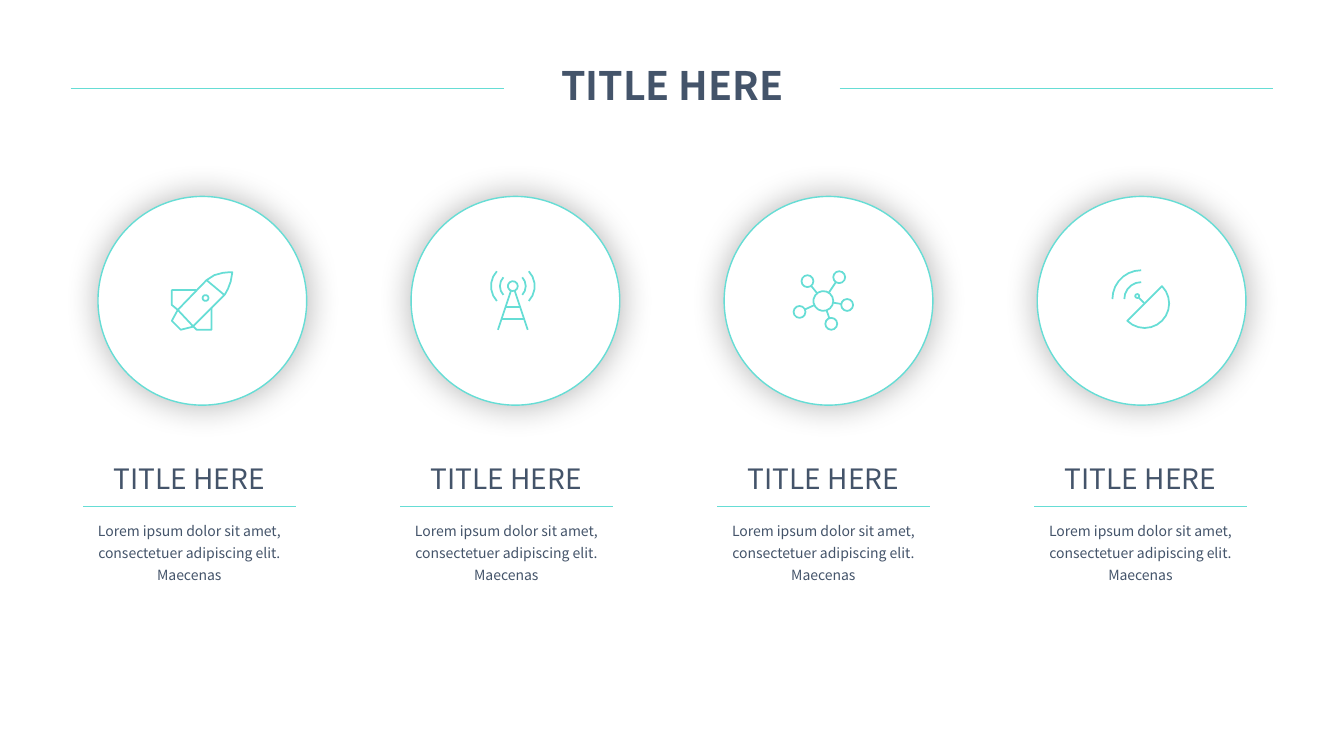
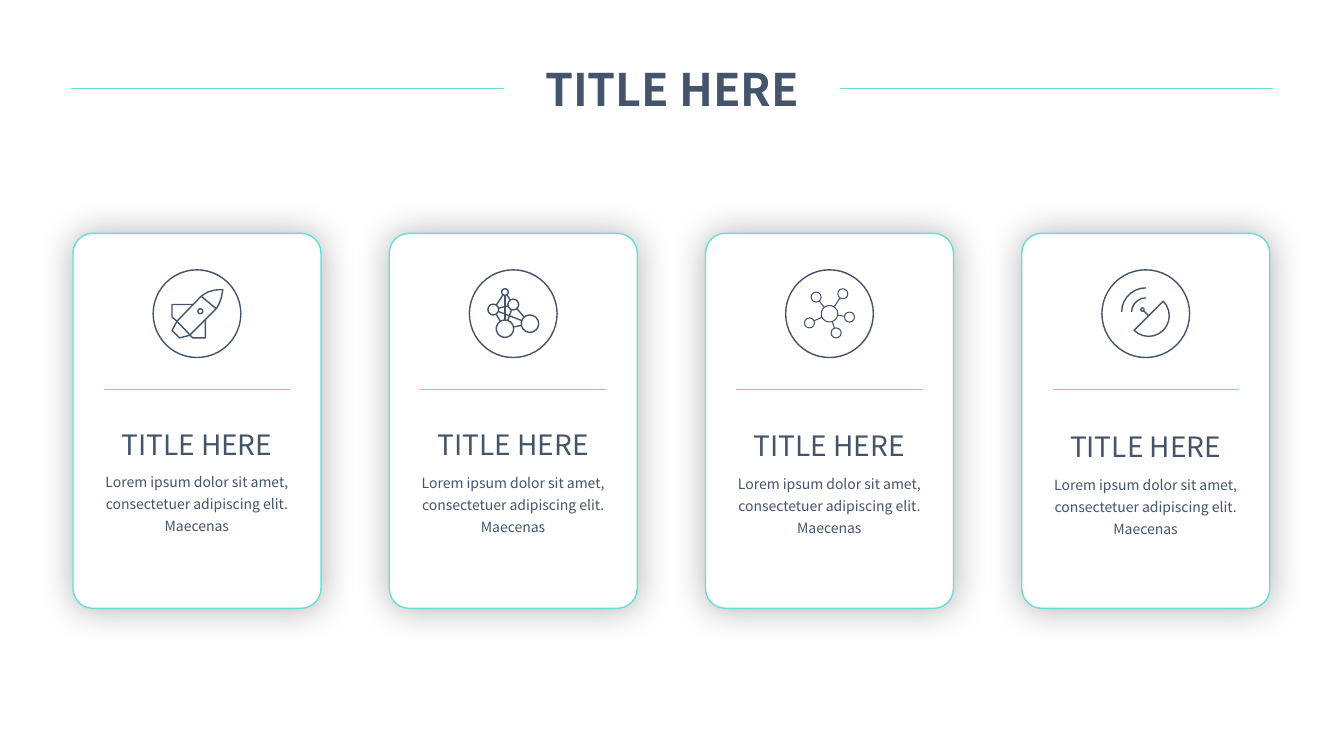
from dataclasses import dataclass
from math import cos, hypot, radians, sin

from lxml import etree
from pptx import Presentation
from pptx.dml.color import RGBColor
from pptx.enum.shapes import MSO_CONNECTOR, MSO_SHAPE
from pptx.enum.text import PP_ALIGN
from pptx.oxml.ns import qn
from pptx.util import Cm, Pt

STRAIGHT = MSO_CONNECTOR.STRAIGHT
OVAL = MSO_SHAPE.OVAL
ROUNDED = MSO_SHAPE.ROUNDED_RECTANGLE
CENTER = PP_ALIGN.CENTER


@dataclass(frozen=True)
class Theme:
    font: str = "Noto Sans CJK SC"
    ink: str = "44546A"
    accent: str = "66DDD5"
    paper: str = "FFFFFF"
    shadow: str = "000000"
    shadow_alpha: str = "30000"
    shadow_blur: int = 25
    heading_size: int = 20
    body_size: int = 10
    body_spacing: float = 1.3
    rule_weight: float = 0.5


THEME = Theme()
TITLE = "TITLE HERE"
BODY = "Lorem ipsum dolor sit amet, consectetuer adipiscing elit. Maecenas"
ICON_RISE = 0.02


# Icon strokes: lists of points around the icon centre, about 60 units across.

def arc(x, y, radius, start=0, end=360):
    """Points along an arc, in degrees clockwise from the right."""
    steps = max(4, round((end - start) / 360 * (8 + radius / 1.5)))
    angles = [radians(start + (end - start) * i / steps) for i in range(steps + 1)]
    return [(x + radius * cos(a), y + radius * sin(a)) for a in angles]


def curve(p0, p1, p2, p3, steps=4):
    """Points along a cubic Bezier curve."""
    points = []
    for i in range(steps + 1):
        t = i / steps
        weights = ((1 - t) ** 3, 3 * t * (1 - t) ** 2, 3 * t * t * (1 - t), t ** 3)
        points.append(tuple(sum(w * p[axis] for w, p in zip(weights, (p0, p1, p2, p3)))
                            for axis in (0, 1)))
    return points


def link(node_a, node_b):
    """Line between the rims of two (x, y, radius) nodes."""
    (ax, ay, ar), (bx, by, br) = node_a, node_b
    length = hypot(bx - ax, by - ay)
    ux, uy = (bx - ax) / length, (by - ay) / length
    return [(ax + ux * ar, ay + uy * ar), (bx - ux * br, by - uy * br)]


def graph(nodes, links):
    return [arc(*node) for node in nodes] + [link(nodes[a], nodes[b]) for a, b in links]


def rocket():
    nose, shoulder_left, shoulder_right = (31, -28), (5, -20), (23, -5)
    hull = curve(nose, (30, -14), shoulder_right, shoulder_right)
    hull += [(-9, 27), (-21, 30), (-30, 21), (-24, 10)]
    hull += curve(shoulder_left, (14, -29), nose, nose)
    fins = [(-5, -10), (-30, -10), (-30, 5), (-24, 10), (-9, 26), (-5, 30), (10, 30), (10, 8)]
    return [hull, [shoulder_left, shoulder_right], fins, arc(4, -2, 3)]


def antenna():
    mast = [[(-16, 30), (-3, -9)], [(14, 30), (1, -9)],
            [(-8, 7), (6, 7)], [(-12, 19), (10, 19)]]
    waves = [arc(-1, -14, radius, facing - 43, facing + 43)
             for radius in (13, 22) for facing in (0, 180)]
    return [arc(-1, -14, 5)] + mast + waves


def hub():
    nodes = [(0, 1, 10), (16, -23, 6), (-16, -19, 6), (-24, 12, 6), (8, 24, 6), (24, 5, 6)]
    return graph(nodes, [(0, i) for i in range(1, len(nodes))])


def mesh():
    nodes = [(-10, -25, 4), (-24, -4, 6.5), (-10, 19, 10.5), (0, -10, 6.5), (20, 13, 10.5)]
    return graph(nodes, [(0, 1), (0, 2), (0, 3), (1, 2), (1, 3), (1, 4), (2, 3), (2, 4), (3, 4)])


def dish():
    bowl = arc(3.5, 3.5, 24.7, -45, 135)
    waves = [arc(0, -1, radius, 180, 270) for radius in (17, 29)]
    return [bowl + bowl[:1], [(3, 3), (-3, -3)], arc(-4, -4, 2)] + waves


def style_line(line, color, width):
    line.color.rgb = RGBColor.from_string(color)
    line.width = Pt(width)


def add_icon(slide, strokes, x, y, unit, color, width):
    """Draw strokes centred at x, y; unit is the length in cm of one icon unit."""
    scaled = [[(Cm(px * unit), Cm(py * unit)) for px, py in stroke] for stroke in strokes]
    first, *others = scaled
    builder = slide.shapes.build_freeform(*first[0])
    builder.add_line_segments(first[1:], close=False)
    for start, *rest in others:
        builder.move_to(*start)
        builder.add_line_segments(rest, close=False)
    icon = builder.convert_to_shape(Cm(x), Cm(y))
    icon.shadow.inherit = False
    icon.fill.background()
    style_line(icon.line, color, width)


def add_rule(slide, left, y, width):
    rule = slide.shapes.add_connector(STRAIGHT, Cm(left), Cm(y), Cm(left + width), Cm(y))
    style_line(rule.line, THEME.accent, THEME.rule_weight)
    etree.SubElement(rule._element.spPr, qn("a:effectLst"))


def add_outline(slide, preset, left, top, width, height, color):
    outline = slide.shapes.add_shape(preset, Cm(left), Cm(top), Cm(width), Cm(height))
    outline.shadow.inherit = False
    outline.fill.background()
    style_line(outline.line, color, 1)
    return outline


def add_panel(slide, preset, left, top, width, height):
    """White outlined shape with a soft shadow all round."""
    panel = add_outline(slide, preset, left, top, width, height, THEME.accent)
    panel.fill.solid()
    panel.fill.fore_color.rgb = RGBColor.from_string(THEME.paper)
    effects = panel._element.spPr.find(qn("a:effectLst"))
    shadow = etree.SubElement(effects, qn("a:outerShdw"), blurRad=str(Pt(THEME.shadow_blur)),
                              dist="0", dir="0", algn="ctr", rotWithShape="0")
    tint = etree.SubElement(shadow, qn("a:srgbClr"), val=THEME.shadow)
    etree.SubElement(tint, qn("a:alpha"), val=THEME.shadow_alpha)
    return panel


def add_text(slide, text, left, top, width, height, size, bold=False, spacing=None):
    frame = slide.shapes.add_textbox(Cm(left), Cm(top), Cm(width), Cm(height)).text_frame
    frame.word_wrap = True
    paragraph = frame.paragraphs[0]
    paragraph.alignment = CENTER
    if spacing:
        paragraph.line_spacing = spacing
    run = paragraph.add_run()
    run.text = text
    run.font.name = THEME.font
    run.font.size = Pt(size)
    run.font.bold = bold
    run.font.color.rgb = RGBColor.from_string(THEME.ink)


def add_caption(slide, left, heading_top, body_top):
    width = 5.84
    add_text(slide, TITLE, left, heading_top, width, 1.12, THEME.heading_size)
    add_text(slide, BODY, left, body_top, width, 1.88, THEME.body_size,
             spacing=THEME.body_spacing)


def add_titled_slide(deck, title_size):
    slide = deck.slides.add_slide(deck.slide_layouts[6])
    for left in (1.78, 21.16):
        add_rule(slide, left, 2.22, 10.92)
    add_text(slide, TITLE, 12.71, 1.42, 8.46, 1.5, title_size, bold=True)
    return slide


def build_circles(deck):
    slide = add_titled_slide(deck, 28)
    diameter, top = 5.26, 4.95
    icons = [(rocket, -0.02), (antenna, -0.04), (hub, -0.13), (dish, -0.01)]
    for column, (icon, nudge) in enumerate(icons):
        circle_left = 2.47 + 7.89 * column
        caption_left = 1.85 + 7.99 * column
        add_panel(slide, OVAL, circle_left, top, diameter, diameter)
        add_icon(slide, icon(), circle_left + diameter / 2 + nudge,
                 top + diameter / 2 - ICON_RISE, 0.025, THEME.accent, 1.25)
        add_caption(slide, caption_left, 11.51, 12.91)
        add_rule(slide, caption_left + 0.25, 12.76, 5.35)


def build_cards(deck):
    slide = add_titled_slide(deck, 32)
    card_width, ring, ring_top = 6.25, 2.21, 6.8
    icons = [(rocket, 1), (mesh, 1), (hub, 0.75), (dish, 1)]
    for column, (icon, weight) in enumerate(icons):
        left = 1.84 + 7.97 * column
        middle = left + card_width / 2
        drift = 0.02 * column
        card = add_panel(slide, ROUNDED, left, 5.88, card_width, 9.45)
        card.adjustments[0] = 0.08
        add_rule(slide, left + 0.78, 9.8, 4.69)
        add_caption(slide, left + 0.2, 10.64 + drift, 11.69 + drift)
        add_outline(slide, OVAL, middle - ring / 2, ring_top, ring, ring, THEME.ink)
        add_icon(slide, icon(), middle, ring_top + ring / 2 - ICON_RISE, 0.021,
                 THEME.ink, weight)


def main():
    deck = Presentation()
    deck.slide_width, deck.slide_height = Cm(33.87), Cm(19.05)
    build_circles(deck)
    build_cards(deck)
    deck.save("out.pptx")


if __name__ == "__main__":
    main()
